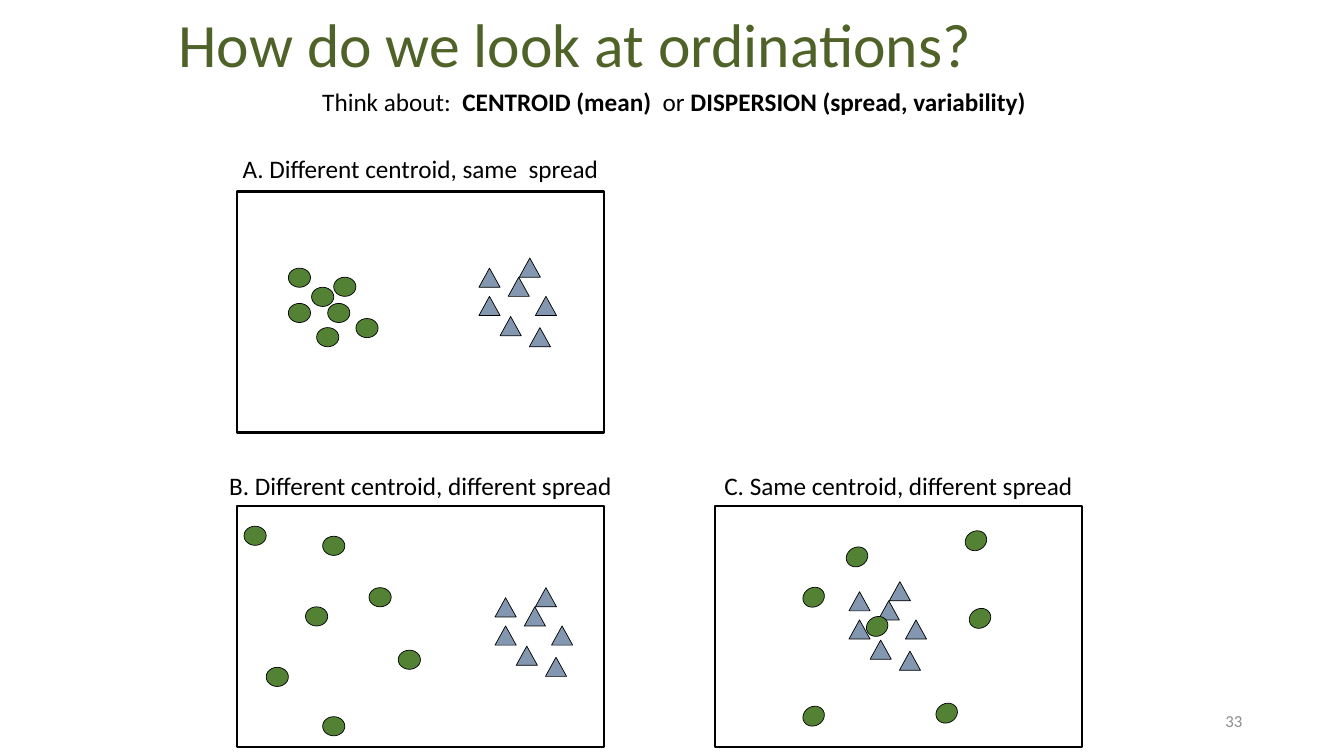
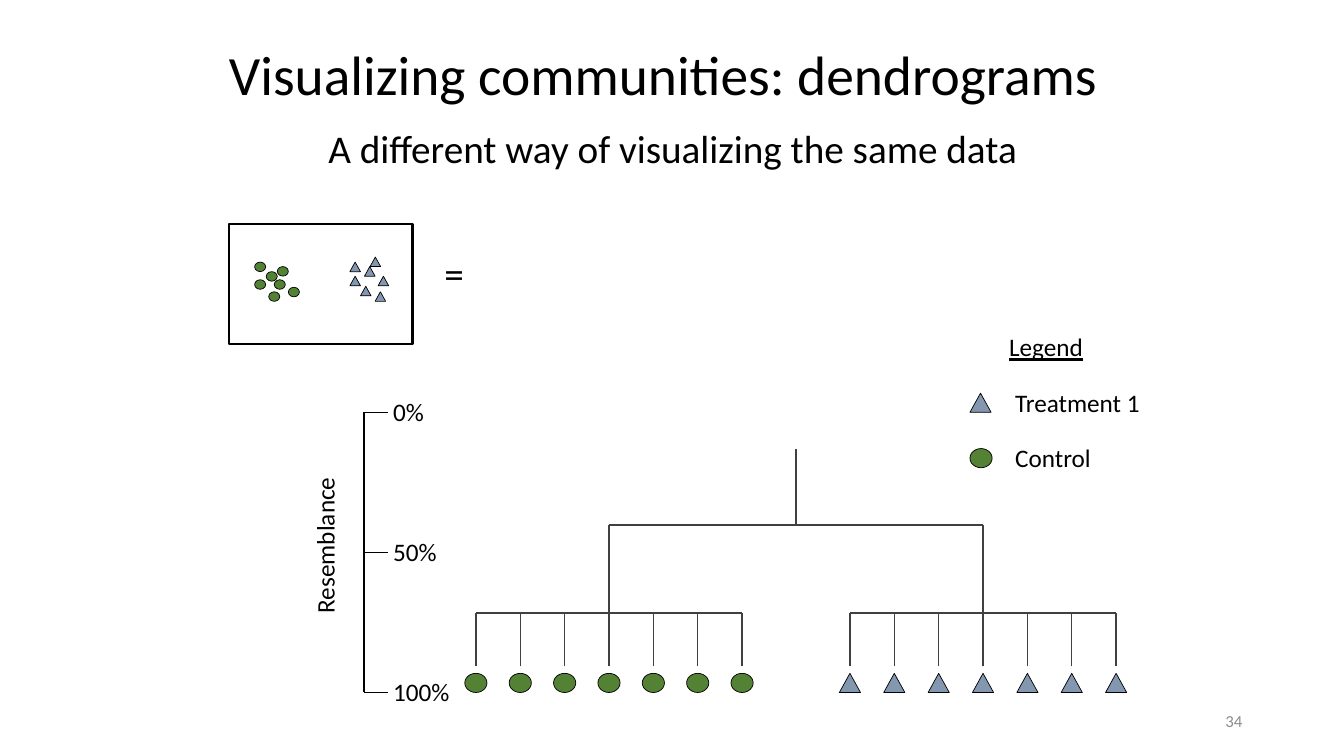
from lxml.etree import SubElement
from pptx import Presentation
from pptx.dml.color import RGBColor
from pptx.enum.shapes import MSO_CONNECTOR as Connector, MSO_SHAPE as Shape
from pptx.enum.text import MSO_ANCHOR as Anchor, MSO_AUTO_SIZE as AutoSize, PP_ALIGN as Align
from pptx.oxml.ns import qn
from pptx.util import Inches, Pt

# Shared look
COLORS = {"text": "000000", "heading": "4F6228", "paper": "FFFFFF", "control": "548235",
          "treatment": "8497B0", "branch": "404040", "number": "8C8C8C"}
FONT = "Calibri"
SLIDE_WIDTH, SLIDE_HEIGHT = 13.33, 7.5
TITLE_ONLY, TITLE_AND_BODY = 5, 1
MARKERS = {"control": (Shape.OVAL, 0.22, 0.19),
           "treatment": (Shape.ISOSCELES_TRIANGLE, 0.21, 0.19)}

# Ordination content; points are inches from the panel's corner
PANEL_WIDTH, PANEL_HEIGHT = 3.64, 2.39
COLUMNS, ROWS = (2.35, 7.09), (1.9, 5.02)
TRIANGLE_CLUSTER = [(0.4, 0), (0, 0.1), (0.29, 0.19), (0, 0.38), (0.56, 0.38),
                    (0.21, 0.58), (0.5, 0.69)]
PANELS = [
    {"caption": "A. Different centroid, same  spread", "cell": (0, 0), "rise": 0.43,
     "triangles": (2.4, 0.66), "turn": 0,
     "circles": [(0.74, 0.95), (0.9, 1.11), (0.96, 0.85), (0.79, 1.35), (1.18, 1.26),
                 (0.51, 0.76), (0.51, 1.11)]},
    {"caption": "B. Different centroid, different spread", "cell": (0, 1), "rise": 0.4,
     "triangles": (2.56, 0.81), "turn": 0,
     "circles": [(0.68, 1), (1.31, 0.81), (0.85, 0.3), (0.85, 2.09), (1.6, 1.43),
                 (0.07, 0.2), (0.29, 1.6)]},
    {"caption": "C. Same centroid, different spread", "cell": (1, 1), "rise": 0.4,
     "triangles": (1.33, 0.75), "turn": 330.4,
     "circles": [(1.5, 1.1), (2.48, 0.25), (1.3, 0.41), (2.19, 1.96), (2.52, 1.02),
                 (0.87, 0.81), (0.87, 1.99)]},
]
FOCUS = [("Think about:  ", False), ("CENTROID (mean)  ", True), ("or ", False),
         ("DISPERSION (spread, variability)", True)]

# Dendrogram content
LEGEND = [("treatment", "Treatment 1"), ("control", "Control")]
CLUSTERS = [("control", 4.72), ("treatment", 8.43)]
LEAF_COUNT, LEAF_GAP = 7, 0.44
LEAF_TOP, LEAF_BOTTOM, MARKER_TOP = 6.08, 6.61, 6.68
JOIN_LEVEL, ROOT_TOP = 5.21, 4.45
AXIS_LEFT, AXIS_TOP, TICK_GAP, TICK_LENGTH = 3.61, 4.09, 1.39, 0.24
TICKS = ["0%", "50%", "100%"]


def color(name):
    return RGBColor.from_string(COLORS[name])


def write(frame, spans, size, tone="text", align=Align.LEFT, anchor=Anchor.TOP,
          spacing=1.0, underline=None):
    for name, value in {"word_wrap": True, "auto_size": AutoSize.NONE,
                        "vertical_anchor": anchor}.items():
        setattr(frame, name, value)
    para = frame.paragraphs[0]
    for name, value in {"alignment": align, "line_spacing": spacing,
                        "space_before": Pt(0)}.items():
        setattr(para, name, value)
    for text, bold in spans:
        span = para.add_run()
        span.text = text
        for name, value in {"name": FONT, "size": Pt(size), "bold": bold,
                            "underline": underline}.items():
            setattr(span.font, name, value)
        span.font.color.rgb = color(tone)


def add_text(shapes, text, left, top, width, height=0.4, size=18, **style):
    box = shapes.add_textbox(*map(Inches, (left, top, width, height)))
    spans = [(text, False)] if isinstance(text, str) else text
    write(box.text_frame, spans, size, **style)
    return box


def add_block(shapes, kind, left, top, width, height, fill, weight):
    block = shapes.add_shape(kind, *map(Inches, (left, top, width, height)))
    block.shadow.inherit = False
    block.fill.solid()
    block.fill.fore_color.rgb = color(fill)
    block.line.color.rgb = color("text")
    block.line.width = Pt(weight)
    return block


def add_marker(shapes, group, left, top, scale=1.0, turn=0):
    kind, width, height = MARKERS[group]
    marker = add_block(shapes, kind, left, top, width * scale, height * scale, group, 0.5)
    marker.rotation = turn


def add_line(shapes, start, end, tone):
    line = shapes.add_connector(Connector.STRAIGHT, *map(Inches, (*start, *end)))
    line.line.color.rgb = color(tone)
    line.line.width = Pt(1)
    SubElement(line._element.spPr, qn("a:effectLst"))


def add_panel(shapes, panel, left, top, scale=1.0):
    add_block(shapes, Shape.RECTANGLE, left, top, PANEL_WIDTH * scale,
              PANEL_HEIGHT * scale, "paper", 1.75)
    corner_x, corner_y = panel["triangles"]
    for x, y in TRIANGLE_CLUSTER:
        add_marker(shapes, "treatment", left + (corner_x + x) * scale,
                   top + (corner_y + y) * scale, scale)
    for x, y in panel["circles"]:
        add_marker(shapes, "control", left + x * scale, top + y * scale, scale,
                   panel["turn"])


def place(holder, left, top, width, height):
    for name, value in zip(("left", "top", "width", "height"), (left, top, width, height)):
        setattr(holder, name, Inches(value))


def add_page(deck, layout, title, area, size, tone, number):
    page = deck.slides.add_slide(deck.slide_layouts[layout])
    place(page.shapes.title, *area)
    write(page.shapes.title.text_frame, [(title, False)], size, tone,
          anchor=Anchor.MIDDLE, spacing=0.9)
    add_text(page.shapes, number, 9.42, 6.95, 3, size=12, tone="number",
             align=Align.RIGHT, anchor=Anchor.MIDDLE)
    return page


def build_ordinations(deck):
    page = add_page(deck, TITLE_ONLY, "How do we look at ordinations?",
                    (1.67, -0.15, 10, 1.25), 44, "heading", "33")
    add_text(page.shapes, FOCUS, 2.34, 0.81, 8.69, align=Align.CENTER)
    for panel in PANELS:
        column, row = panel["cell"]
        left, top = COLUMNS[column], ROWS[row]
        shapes = page.shapes.add_group_shape().shapes
        add_panel(shapes, panel, left, top)
        add_text(shapes, panel["caption"], left - 0.3, top - panel["rise"],
                 PANEL_WIDTH + 0.6, align=Align.CENTER)


def build_tree(shapes):
    stems = []
    for group, first in CLUSTERS:
        leaves = [first + LEAF_GAP * index for index in range(LEAF_COUNT)]
        for x in leaves:
            add_line(shapes, (x, LEAF_BOTTOM), (x, LEAF_TOP), "branch")
            add_marker(shapes, group, x - MARKERS[group][1] / 2, MARKER_TOP)
        add_line(shapes, (leaves[0], LEAF_TOP), (leaves[-1], LEAF_TOP), "branch")
        stem = leaves[LEAF_COUNT // 2]
        add_line(shapes, (stem, LEAF_TOP), (stem, JOIN_LEVEL), "branch")
        stems.append(stem)
    root = sum(stems) / len(stems)
    add_line(shapes, (stems[0], JOIN_LEVEL), (stems[-1], JOIN_LEVEL), "branch")
    add_line(shapes, (root, JOIN_LEVEL), (root, ROOT_TOP), "branch")


def build_axis(shapes):
    bottom = AXIS_TOP + TICK_GAP * (len(TICKS) - 1)
    add_line(shapes, (AXIS_LEFT, bottom), (AXIS_LEFT, AXIS_TOP), "text")
    for index, label in enumerate(TICKS):
        y = AXIS_TOP + TICK_GAP * index
        add_line(shapes, (AXIS_LEFT, y), (AXIS_LEFT + TICK_LENGTH, y), "text")
        add_text(shapes, label, 3.8, y - 0.21, 0.8)
    name = add_text(shapes, "Resemblance", 2.44, 5.21, 1.56, align=Align.CENTER)
    name.rotation = 270


def build_legend(shapes):
    add_text(shapes, "Legend", 9.91, 3.24, 1, underline=True)
    for index, (group, label) in enumerate(LEGEND):
        top = 3.79 + 0.55 * index
        add_marker(shapes, group, 9.62, top + 0.11)
        add_text(shapes, label, 9.97, top, 1.6)


def build_dendrogram(deck):
    page = add_page(deck, TITLE_AND_BODY, "Visualizing communities: dendrograms",
                    (2.17, 0.14, 9, 1.25), 39.6, "text", "34")
    body = page.placeholders[1]
    place(body, 2.17, 1.24, 9, 0.73)
    settings = body.text_frame.paragraphs[0]._p.get_or_add_pPr()
    for name in ("marL", "indent"):
        settings.set(name, "0")
    SubElement(settings, qn("a:buNone"))
    write(body.text_frame, [("A different way of visualizing the same data", False)], 28,
          align=Align.CENTER, spacing=0.9)
    add_panel(page.shapes.add_group_shape().shapes, PANELS[0], 2.27, 2.22, 0.5)
    add_text(page.shapes, "=", 4.31, 2.42, 0.5, 0.57, size=28)
    for build in (build_legend, build_tree, build_axis):
        build(page.shapes.add_group_shape().shapes)


def main():
    deck = Presentation()
    deck.slide_width, deck.slide_height = Inches(SLIDE_WIDTH), Inches(SLIDE_HEIGHT)
    build_ordinations(deck)
    build_dendrogram(deck)
    deck.save("out.pptx")


if __name__ == "__main__":
    main()
